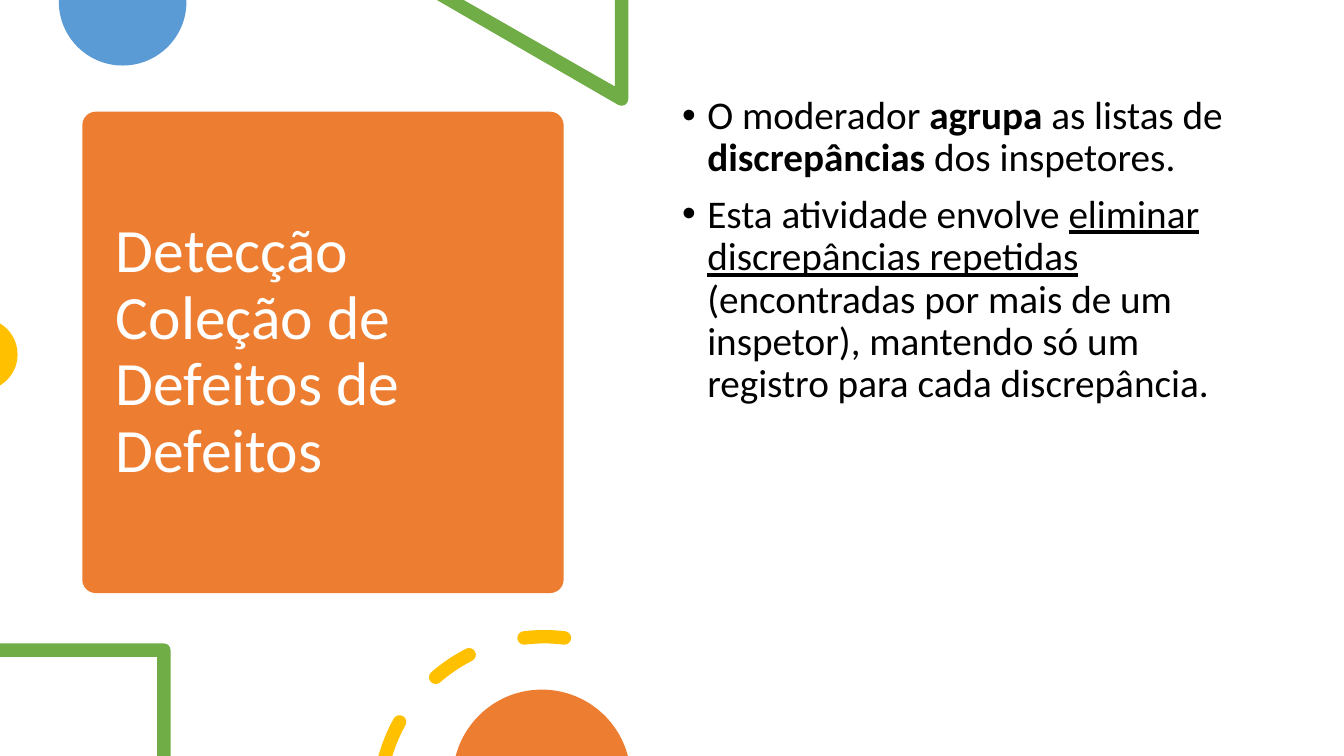
"""Builds a slide on collecting defects, on a grid of 16 columns by 9 rows."""
import math
from dataclasses import dataclass

import pptx
import pptx.dml.color
import pptx.enum.shapes
import pptx.enum.text
import pptx.oxml
import pptx.oxml.ns
import pptx.util

COLUMNS, ROWS = 16, 9
CELL = pptx.util.Emu(762000)


@dataclass(frozen=True)
class Theme:
    """Colours, font and type sizes of the slide."""
    orange: str = "ED7D31"
    blue: str = "5B9BD5"
    green: str = "70AD47"
    yellow: str = "FFC000"
    white: str = "FFFFFF"
    black: str = "000000"
    font: str = "Calibri"
    title_size: int = 44
    body_size: int = 28
    line_spacing: float = 0.9
    space_before: int = 10
    bullet_indent: float = 0.25


THEME = Theme()

TITLE = "Detecção Coleção de Defeitos de Defeitos"
BULLETS = [
    [("O moderador ", ""), ("agrupa", "bold"), (" as listas de ", ""),
     ("discrepâncias", "bold"), (" dos inspetores.", "")],
    [("Esta atividade envolve ", ""),
     ("eliminar discrepâncias repetidas ", "underline"),
     ("(encontradas por mais de um inspetor), mantendo só um registro "
      "para cada discrepância.", "")],
]


def cells(*lengths):
    """Turn grid lengths into slide lengths."""
    return [pptx.util.Emu(round(length * CELL)) for length in lengths]


def paint(shape, colour):
    """Fill a shape with one colour, with no line or shadow."""
    shape.fill.solid()
    shape.fill.fore_color.rgb = pptx.dml.color.RGBColor.from_string(colour)
    shape.line.fill.background()
    shape.shadow.inherit = False


def on_circle(centre, radius, angle, slide_along=0):
    """Return a point on a circle, or one moved along the tangent there."""
    cos, sin = math.cos(math.radians(angle)), math.sin(math.radians(angle))
    return (centre[0] + radius * (cos - slide_along * sin),
            centre[1] - radius * (sin + slide_along * cos))


def lines(*points):
    """Return one straight step to each point."""
    return [[point] for point in points]


def arc(centre, radius, start, end):
    """Return a step to the start of an arc, then its curved steps."""
    count = math.ceil(abs(end - start) / 90)
    turn = (end - start) / count
    handle = 4 / 3 * math.tan(math.radians(turn / 4))
    steps = lines(on_circle(centre, radius, start))
    for number in range(count):
        begin = start + number * turn
        steps.append([on_circle(centre, radius, begin, handle),
                      on_circle(centre, radius, begin + turn, -handle),
                      on_circle(centre, radius, begin + turn)])
    return steps


def dash(centre, radius, half_width, start, end):
    """Return a round-ended dash of a ring, cut flat at the foot of the slide."""
    outer, inner = radius + half_width, radius - half_width
    first = on_circle(centre, radius, start)
    last = on_circle(centre, radius, end)
    start_cap = arc(first, half_width, start + 180, start + 360)[1:]
    if last[1] > ROWS:
        outer_end, inner_end = [
            180 - math.degrees(math.asin((centre[1] - ROWS) / edge))
            for edge in (outer, inner)]
        return (arc(centre, outer, start, outer_end)
                + arc(centre, inner, inner_end, start) + start_cap)
    return (arc(centre, outer, start, end)
            + arc(last, half_width, end, end + 180)[1:]
            + arc(centre, inner, end, start)[1:] + start_cap)


def bend(segment, step, shape):
    """Replace a straight path segment by a curved one."""
    curve = pptx.oxml.parse_xml(
        "<a:cubicBezTo %s/>" % pptx.oxml.ns.nsdecls("a"))
    for point in step:
        x, y = cells(*point)
        node = curve.makeelement(pptx.oxml.ns.qn("a:pt"),
                                 {"x": str(x - shape.left), "y": str(y - shape.top)})
        curve.append(node)
    segment.getparent().replace(segment, curve)


def add_outline(slide, colour, *contours):
    """Draw closed contours of lines and curves as one filled shape."""
    builder = slide.shapes.build_freeform(*cells(*contours[0][0][-1]), scale=1.0)
    for number, contour in enumerate(contours):
        ends = [cells(*step[-1]) for step in contour]
        if number:
            builder.move_to(*ends[0])
        builder.add_line_segments(ends[1:], close=True)
    shape = builder.convert_to_shape()
    segments = list(shape.element.iter(pptx.oxml.ns.qn("a:lnTo")))
    steps = [step for contour in contours for step in contour[1:]]
    for segment, step in zip(segments, steps):
        if len(step) == 3:
            bend(segment, step, shape)
    paint(shape, colour)


def add_card(slide, title, box):
    """Put the rounded card behind the title."""
    card = slide.shapes.add_shape(
        pptx.enum.shapes.MSO_SHAPE.ROUNDED_RECTANGLE, *cells(*box))
    card.adjustments[0] = 0.028
    paint(card, THEME.orange)
    title.element.addprevious(card.element)


def place(placeholder, box, anchor):
    """Move a placeholder and set how its text sits."""
    (placeholder.left, placeholder.top,
     placeholder.width, placeholder.height) = cells(*box)
    frame = placeholder.text_frame
    frame.word_wrap = True
    frame.auto_size = pptx.enum.text.MSO_AUTO_SIZE.NONE
    frame.vertical_anchor = anchor
    return frame


def write(paragraph, runs, size, colour):
    """Write styled runs into a left-aligned paragraph."""
    paragraph.alignment = pptx.enum.text.PP_ALIGN.LEFT
    paragraph.line_spacing = THEME.line_spacing
    for text, style in runs:
        run = paragraph.add_run()
        run.text = text
        run.font.name = THEME.font
        run.font.size = pptx.util.Pt(size)
        run.font.color.rgb = pptx.dml.color.RGBColor.from_string(colour)
        run.font.bold = style == "bold"
        run.font.underline = style == "underline"


def write_bullets(frame, bullets):
    """Write the bullet list with a hanging indent."""
    for number, runs in enumerate(bullets):
        paragraph = frame.add_paragraph() if number else frame.paragraphs[0]
        write(paragraph, runs, THEME.body_size, THEME.black)
        paragraph.space_before = pptx.util.Pt(THEME.space_before)
        indent = pptx.util.Inches(THEME.bullet_indent)
        properties = paragraph._p.get_or_add_pPr()
        properties.set("marL", str(indent))
        properties.set("indent", str(-indent))


def main():
    """Build and save the slide."""
    deck = pptx.Presentation()
    deck.slide_width, deck.slide_height = cells(COLUMNS, ROWS)
    slide = deck.slides.add_slide(deck.slide_layouts[1])
    title, body = slide.shapes.title, slide.placeholders[1]
    anchors = pptx.enum.text.MSO_ANCHOR

    add_card(slide, title, (0.98, 1.33, 5.73, 5.73))
    heading = place(title, (1.26, 1.46, 5.17, 5.47), anchors.MIDDLE)
    write(heading.paragraphs[0], [(TITLE, "")], THEME.title_size, THEME.white)
    write_bullets(place(body, (8, 1.08, 6.9, 6.42), anchors.TOP), BULLETS)

    add_outline(slide, THEME.blue,
                lines((2.22, 0), (0.7, 0)) + arc((1.46, 0.02), 0.76, 180, 360))
    add_outline(slide, THEME.green,
                lines((7.48, 0), (7.32, 0), (7.32, 1.03), (5.52, 0), (5.2, 0))
                + arc((7.4, 1.18), 0.08, 240, 360))
    add_outline(slide, THEME.yellow, arc((-0.22, 4.22), 0.43, -59.2, 59.2))
    add_outline(slide, THEME.green,
                lines((0, 7.82), (0, 7.66)) + arc((1.95, 7.74), 0.08, 90, 0)
                + lines((2.03, ROWS), (1.87, ROWS), (1.87, 7.82)))
    add_outline(slide, THEME.yellow,
                *[dash((6.48, 9.55), 1.97, 0.08, middle - 7, middle + 7)
                  for middle in (158, 124, 90)])
    add_outline(slide, THEME.orange, arc((6.45, 9.27), 1.06, 14.76, 165.24))
    deck.save("out.pptx")


if __name__ == "__main__":
    main()
